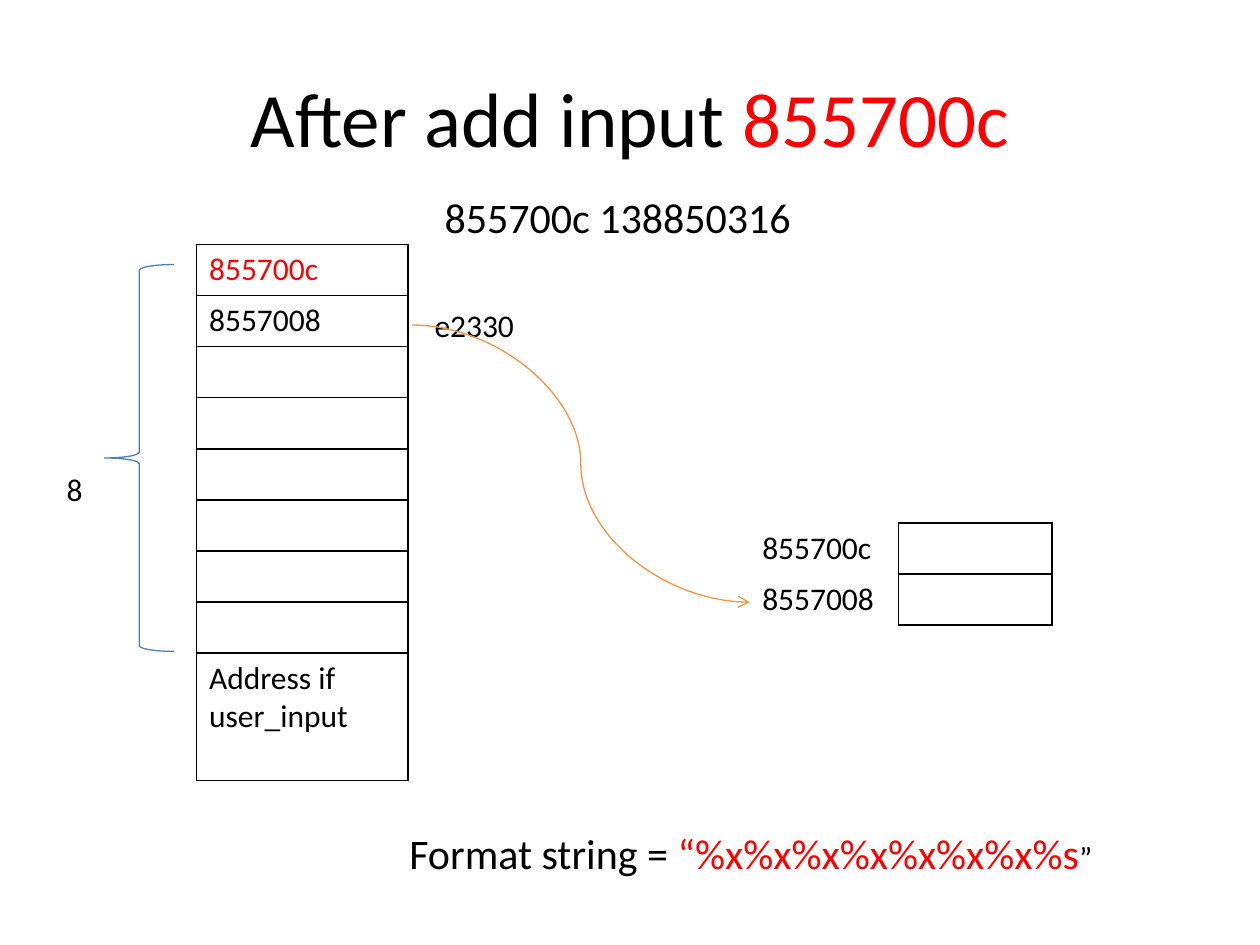
from pptx import Presentation
from pptx.dml.color import RGBColor
from pptx.enum import shapes as sh, text as tx
from pptx.oxml.ns import qn
from pptx.util import Inches, Pt
from lxml import etree

BLACK = RGBColor(0, 0, 0)
RED = RGBColor(0xFF, 0, 0)
BLUE = RGBColor(0x4B, 0x7E, 0xBC)
ORANGE = RGBColor(0xF6, 0x92, 0x40)
FONT = "Calibri"
ROW = 3.24 / 8


def write(frame, *runs, size=18, align=tx.PP_ALIGN.LEFT):
    para = frame.paragraphs[0]
    para.alignment = align
    for words, color, *own in runs:
        run = para.add_run()
        run.text = words
        run.font.name = FONT
        run.font.size = Pt(own[0] if own else size)
        run.font.color.rgb = color


def add_text(slide, box, *runs, wrap=False, anchor=tx.MSO_ANCHOR.TOP, **form):
    frame = slide.shapes.add_textbox(*map(Inches, box)).text_frame
    frame.word_wrap = wrap
    frame.vertical_anchor = anchor
    write(frame, *runs, **form)


def add_edges(cell):
    props = cell._tc.get_or_add_tcPr()
    for at, side in enumerate(("lnL", "lnR", "lnT", "lnB")):
        line = etree.Element(qn("a:" + side), w=str(Pt(1)))
        fill = etree.SubElement(line, qn("a:solidFill"))
        etree.SubElement(fill, qn("a:srgbClr"), val=str(BLACK))
        props.insert(at, line)


def add_stack(slide, left, top, width, cells, last=ROW, edges=True):
    high = ROW * (len(cells) - 1) + last
    box = map(Inches, (left, top, width, high))
    table = slide.shapes.add_table(len(cells), 1, *box).table
    table.first_row = table.horz_banding = False
    for at, (words, color) in enumerate(cells):
        table.rows[at].height = Inches(ROW)
        cell = table.cell(at, 0)
        cell.fill.background()
        if edges:
            add_edges(cell)
        if words:
            write(cell.text_frame, (words, color))
    table.rows[len(cells) - 1].height = Inches(last)


def add_brace(slide, *box):
    brace = slide.shapes.add_shape(sh.MSO_SHAPE.LEFT_BRACE, *map(Inches, box))
    brace.shadow.inherit = False
    brace.fill.background()
    brace.line.color.rgb = BLUE
    brace.line.width = Pt(0.75)


def add_curve(slide, *ends):
    curve = slide.shapes.add_connector(sh.MSO_CONNECTOR.CURVE, *map(Inches, ends))
    curve.line.color.rgb = ORANGE
    curve.line.width = Pt(0.75)
    etree.SubElement(curve.line._get_or_add_ln(), qn("a:tailEnd"), type="arrow")
    etree.SubElement(curve._element.spPr, qn("a:effectLst"))


def main():
    deck = Presentation()
    deck.slide_width, deck.slide_height = Inches(10), Inches(7.5)
    slide = deck.slides.add_slide(deck.slide_layouts[6])
    blank = ("", BLACK)
    first, second = "855700c", "8557008"

    stack = [(first, RED), (second, BLACK)] + [blank] * 6
    stack.append(("Address if  user_input", BLACK))
    add_stack(slide, 1.56, 1.94, 1.68, stack, last=1.01)
    add_stack(slide, 5.95, 4.15, 1.22, [(first, BLACK), (second, BLACK)], edges=False)
    add_stack(slide, 7.13, 4.15, 1.22, [blank] * 2)

    add_text(slide, (3.35, 2.38, 1.42, 0.4), ("e2330", BLACK), wrap=True)
    add_curve(slide, 3.27, 2.58, 5.95, 4.78)
    add_text(slide, (0.5, 0.3, 9, 1.25), ("After add input ", BLACK), (first, RED),
             size=44, wrap=True, anchor=tx.MSO_ANCHOR.MIDDLE, align=tx.PP_ALIGN.CENTER)
    add_brace(slide, 0.83, 2.1, 0.55, 3.07)
    add_text(slide, (0.43, 3.68, 0.33, 0.4), ("8", BLACK))
    add_text(slide, (3.15, 6.52, 5.67, 0.5), ("Format string = ", BLACK),
             ("“" + "%x" * 7 + "%s", RED), ("”", BLACK, 18), size=24)
    add_text(slide, (3.43, 1.47, 2.97, 0.5), ("855700c 138850316", BLACK), size=24)
    deck.save("out.pptx")


if __name__ == "__main__":
    main()
